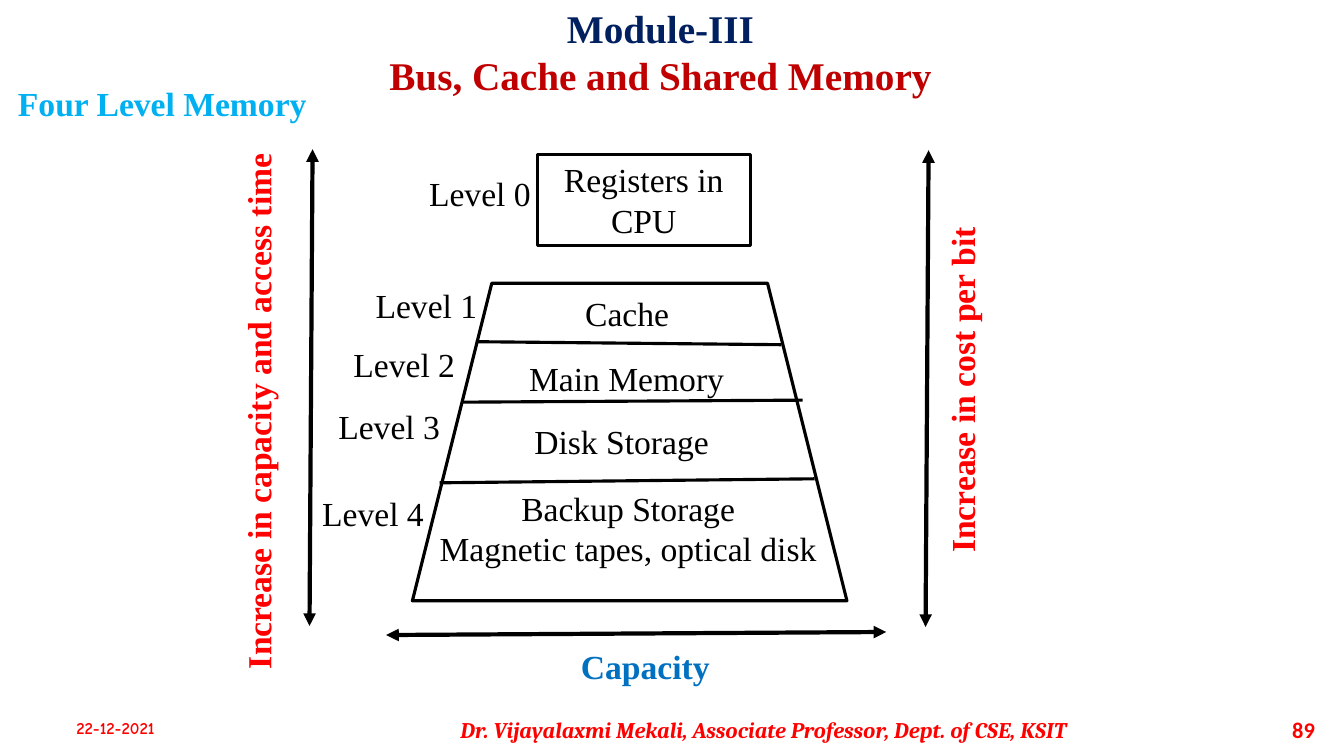
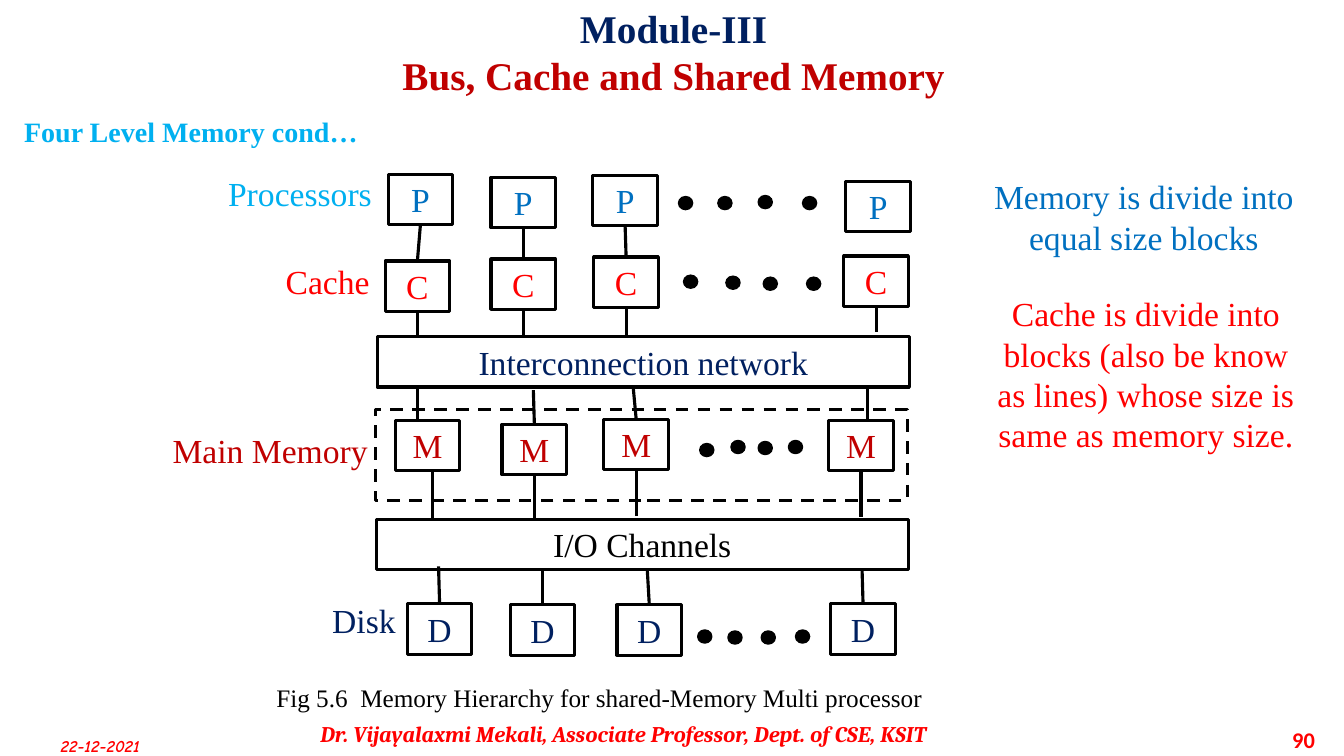
from lxml.etree import SubElement
from pptx import Presentation
from pptx.dml.color import RGBColor
from pptx.enum.dml import MSO_LINE
from pptx.enum.shapes import MSO_CONNECTOR, MSO_SHAPE as PRESET
from pptx.enum.text import MSO_ANCHOR as ANCHOR, PP_ALIGN as ALIGN
from pptx.oxml.ns import qn
from pptx.util import Inches, Pt

BLACK = RGBColor(0x00, 0x00, 0x00)
WHITE = RGBColor(0xFF, 0xFF, 0xFF)
NAVY = RGBColor(0x00, 0x20, 0x60)
BLUE = RGBColor(0x00, 0x70, 0xC0)
SKY = RGBColor(0x00, 0xB0, 0xF0)
RED = RGBColor(0xFF, 0x00, 0x00)
CRIMSON = RGBColor(0xC0, 0x00, 0x00)
SERIF = "Times New Roman"
BOTTOM, TOP = 2, 0


def put(slide, at, text="", color=BLACK, size=24, font=SERIF, bold=False, italic=False,
        align=ALIGN.CENTER, anchor=ANCHOR.TOP, preset=None, fill=None, weight=2.25):
    place = [Inches(v) for v in at]
    if preset is None:
        item = slide.shapes.add_textbox(*place)
    else:
        item = slide.shapes.add_shape(preset, *place)
        item.shadow.inherit = False
        item.line.color.rgb = BLACK
        item.line.width = Pt(weight)
        if fill is None:
            item.fill.background()
        else:
            item.fill.solid()
            item.fill.fore_color.rgb = fill
    frame = item.text_frame
    frame.word_wrap = True
    frame.vertical_anchor = anchor
    frame.text = text
    for paragraph in frame.paragraphs:
        paragraph.alignment = align
        for run in paragraph.runs:
            run.font.name = font
            run.font.size = Pt(size)
            run.font.bold = bold
            run.font.italic = italic
            run.font.color.rgb = color
    return item


def link(slide, points, weight=2.25, arrows=False, start=None, end=None):
    line = slide.shapes.add_connector(MSO_CONNECTOR.STRAIGHT, *[Inches(v) for v in points])
    line.line.color.rgb = BLACK
    line.line.width = Pt(weight)
    properties = line.element.spPr
    if arrows:
        for tip in ("a:headEnd", "a:tailEnd"):
            SubElement(properties.find(qn("a:ln")), qn(tip), type="triangle")
    SubElement(properties, qn("a:effectLst"))
    if start is not None:
        line.begin_connect(start, BOTTOM)
    if end is not None:
        line.end_connect(end, TOP)


deck = Presentation()
deck.slide_width = Inches(13.33)
deck.slide_height = Inches(7.5)

pages = []
for number, title_left, author_at, date_at, number_at, date_italic in [
    ("89", 0.8, (4.36, 7.04), (0.29, 7.02), (12.61, 7.04), False),
    ("90", 0.93, (2.97, 7.08), (0.14, 7.2), (12.61, 7.14), True),
]:
    page = deck.slides.add_slide(deck.slide_layouts[6])
    title = put(page, (title_left, 0, 11.5, 1.03), "Module-III\nBus, Cache and Shared Memory",
                NAVY, 28, bold=True)
    for paragraph in title.text_frame.paragraphs:
        paragraph.line_spacing = Pt(33.5)
    title.text_frame.paragraphs[1].runs[0].font.color.rgb = CRIMSON
    put(page, (*author_at, 6.43, 0.4),
        "Dr. Vijayalaxmi Mekali, Associate Professor, Dept. of CSE, KSIT",
        RED, 16, "Cambria", bold=True, italic=True, anchor=ANCHOR.MIDDLE)
    put(page, (*date_at, 1.71, 0.4), "22-12-2021", RED, 12, "Comic Neue", bold=True,
        italic=date_italic, anchor=ANCHOR.MIDDLE)
    put(page, (*number_at, 0.53, 0.4), number, RED, 16, "Calibri", bold=True,
        align=ALIGN.RIGHT, anchor=ANCHOR.MIDDLE)
    pages.append(page)
pyramid, hierarchy = pages

put(pyramid, (0.08, 0.77, 3.06, 0.5), "Four Level Memory", SKY, bold=True, align=ALIGN.LEFT)
put(pyramid, (5.33, 1.53, 2.11, 0.91), "Registers in CPU", preset=PRESET.RECTANGLE)
put(pyramid, (4.09, 2.81, 4.31, 3.15), preset=PRESET.TRAPEZOID, fill=WHITE)

for divider in [(4.72, 3.39, 7.75, 3.42), (4.58, 3.99, 7.96, 3.97), (4.36, 4.79, 8.08, 4.75)]:
    link(pyramid, divider)

for left, top, width, height, store in [
    (5.05, 2.86, 2.34, 0.5, "Cache"),
    (5.06, 3.5, 2.31, 0.5, "Main Memory"),
    (5.01, 4.13, 2.31, 0.5, "Disk Storage"),
    (4.22, 4.79, 4.02, 0.91, "Backup Storage\nMagnetic tapes, optical disk"),
]:
    put(pyramid, (left, top, width, height), store)

for level, (left, top) in enumerate(
        [(4.04, 1.67), (3.51, 2.78), (3.29, 3.36), (3.14, 3.98), (2.98, 4.84)]):
    put(pyramid, (left, top, 1.44, 0.5), f"Level {level}")

for axis in [(3.83, 6.3, 8.79, 6.27), (3.07, 6.21, 3.1, 1.48), (9.18, 6.22, 9.21, 1.49)]:
    link(pyramid, axis, weight=3, arrows=True)
put(pyramid, (5.48, 6.36, 1.84, 0.5), "Capacity", BLUE, bold=True)
for at, trend in [
    ((-0.14, 3.83, 5.4, 0.5), "Increase in capacity and access time"),
    ((7.02, 3.62, 5.04, 0.5), "Increase in cost per bit"),
]:
    put(pyramid, at, trend, RED, bold=True).rotation = 270

put(hierarchy, (0.14, 1.09, 5.02, 0.44), "Four Level Memory cond…", SKY, 20, bold=True,
    align=ALIGN.LEFT)
for at, label, color in [
    ((2.14, 1.67, 1.67, 0.5), "Processors", SKY),
    ((2.66, 2.54, 1.18, 0.5), "Cache", RED),
    ((1.61, 4.22, 2.14, 0.5), "Main Memory", CRIMSON),
    ((3.11, 5.9, 1, 0.5), "Disk", NAVY),
    ((9.75, 1.7, 3.19, 0.91), "Memory is divide into equal size blocks", BLUE),
    ((9.76, 2.86, 3.21, 1.72),
     "Cache is divide into blocks (also be know as lines) whose size is same as memory size.",
     RED),
]:
    put(hierarchy, at, label, color)

put(hierarchy, (3.74, 3.34, 5.28, 0.5), "Interconnection network", NAVY, preset=PRESET.RECTANGLE)
put(hierarchy, (3.73, 5.15, 5.28, 0.5), "I/O Channels", preset=PRESET.RECTANGLE)
memory_frame = put(hierarchy, (3.72, 4.06, 5.28, 0.91), preset=PRESET.RECTANGLE)
memory_frame.line.dash_style = MSO_LINE.DASH

units = {}
for letter, color, corners, dots in [
    ("P", BLUE, [(3.85, 1.73), (4.87, 1.76), (5.88, 1.74), (8.39, 1.8)],
     [(6.73, 1.95), (7.12, 1.95), (7.52, 1.94), (7.96, 1.95)]),
    ("C", RED, [(3.82, 2.59), (4.87, 2.57), (5.89, 2.55), (8.37, 2.54)],
     [(6.78, 2.73), (7.2, 2.74), (7.57, 2.75), (8, 2.75)]),
    ("M", CRIMSON, [(3.92, 4.17), (4.98, 4.21), (5.99, 4.16), (8.22, 4.17)],
     [(6.94, 4.4), (7.25, 4.37), (7.52, 4.38), (7.82, 4.37)]),
    ("D", NAVY, [(4.04, 5.99), (5.06, 6), (6.12, 6), (8.24, 5.99)],
     [(6.92, 6.25), (7.22, 6.26), (7.55, 6.26), (7.89, 6.25)]),
]:
    units[letter] = [put(hierarchy, (*corner, 0.64, 0.5), letter, color, preset=PRESET.RECTANGLE)
                     for corner in corners]
    for dot in dots:
        put(hierarchy, (*dot, 0.14, 0.13), preset=PRESET.OVAL, fill=BLACK, weight=1)

for processor, cache, points in zip(units["P"], units["C"], [
    (4.17, 2.23, 4.14, 2.59), (5.19, 2.26, 5.19, 2.57), (6.2, 2.24, 6.21, 2.55),
]):
    link(hierarchy, points, start=processor, end=cache)
for cache, x, bottom in zip(units["C"], (4.14, 5.19, 6.21, 8.69), (3.34, 3.34, 3.34, 3.29)):
    link(hierarchy, (x, 3.09, x, bottom), start=cache)

memory = units["M"]
for x, top, bottom, end in [(4.14, 3.84, 4.16, None), (5.29, 3.87, 4.21, memory[1]),
                            (6.28, 3.84, 4.16, memory[2]), (8.6, 3.84, 4.17, None)]:
    link(hierarchy, (x, top, x, bottom), end=end)
for x, bottom, start in [(4.29, 5.15, None), (5.3, 5.15, memory[1]),
                         (6.31, 5.12, memory[2]), (8.54, 5.13, memory[3])]:
    link(hierarchy, (x, 4.67, x, bottom), start=start)
for disk, x, top in zip(units["D"], (4.35, 5.38, 6.42, 8.55), (5.62, 5.65, 5.65, 5.65)):
    link(hierarchy, (x, top, x, 6), end=disk)

put(hierarchy, (1.4, 6.72, 9.09, 0.4),
    "Fig 5.6  Memory Hierarchy for shared-Memory Multi processor", size=18)

deck.save("out.pptx")
